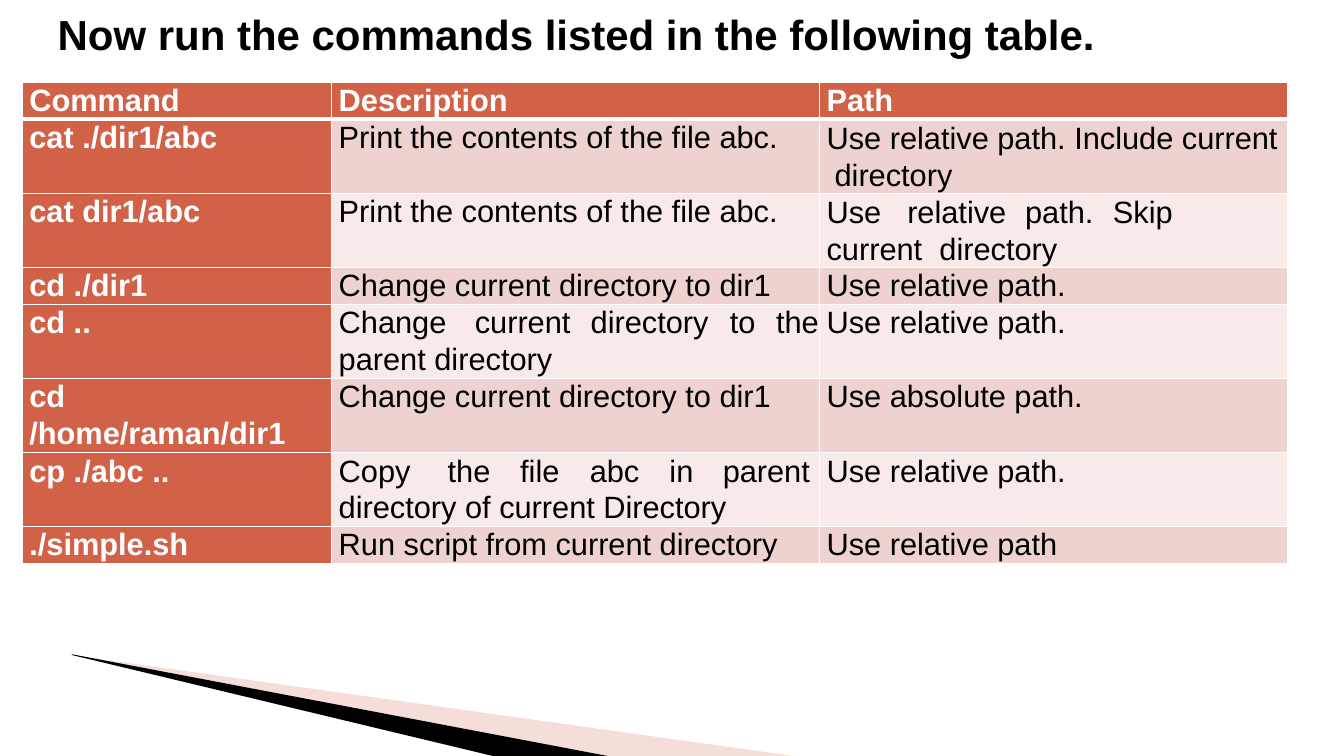
from lxml.etree import SubElement
from pptx import Presentation
from pptx.dml.color import RGBColor
from pptx.enum.text import MSO_ANCHOR, MSO_AUTO_SIZE, PP_ALIGN
from pptx.oxml.ns import qn
from pptx.util import Pt

BLACK = RGBColor(0x00, 0x00, 0x00)
WHITE = RGBColor(0xFF, 0xFF, 0xFF)
RUST = RGBColor(0xD1, 0x62, 0x48)
SALMON = RGBColor(0xE7, 0xAC, 0xA3)
DARK_BAND = RGBColor(0xED, 0xD2, 0xCF)
LIGHT_BAND = RGBColor(0xF7, 0xEA, 0xE9)

COLUMN_WIDTHS = (221, 348.5, 334)
SHORT_ROW, TALL_ROW = 26.4, 52.9
COMMANDS = [
    ("Command", "Description", "Path"),
    ("cat ./dir1/abc", "Print the contents of the file abc.",
     "Use relative path. Include current directory"),
    ("cat dir1/abc", "Print the contents of the file abc.",
     "Use\trelative\tpath.\tSkip\vcurrent\tdirectory"),
    ("cd ./dir1", "Change current directory to dir1", "Use relative path."),
    ("cd ..", "Change\tcurrent\tdirectory\tto\tthe\nparent directory",
     "Use relative path."),
    ("cd\n/home/raman/dir1", "Change current directory to dir1",
     "Use absolute path."),
    ("cp ./abc ..",
     "Copy\tthe\tfile\tabc\tin\tparent directory of current Directory",
     "Use relative path."),
    ("./simple.sh", "Run script from current directory", "Use relative path"),
]
SHORT_ROWS = (0, 3, 7)
# Tab stops and hanging indents, keyed by (row, column)
TAB_STOPS = {
    (2, 2): (57.6, 80.6, 141.8, 204.5),
    (4, 1): (97.2, 180, 279.4, 312.4),
    (6, 1): (77.8, 129.6, 179.3, 236.2, 274.3),
}
HANGING_INDENTS = {(1, 2): 5.7}
WIDE_LINES = {(1, 2), (2, 2)}


class SlideBuilder:
    font_name = "Arial"

    def __init__(self, slide):
        self.slide = slide

    def format_runs(self, paragraph, size, color, bold):
        for run in paragraph.runs:
            run.font.name = self.font_name
            run.font.size = Pt(size)
            run.font.bold = bold
            run.font.color.rgb = color

    def polygon(self, points, color, opacity=100):
        corners = [(Pt(x), Pt(y)) for x, y in points]
        builder = self.slide.shapes.build_freeform(*corners[0])
        builder.add_line_segments(corners[1:], close=True)
        shape = builder.convert_to_shape()
        shape.shadow.inherit = False
        shape.fill.solid()
        shape.fill.fore_color.rgb = color
        shape.line.fill.background()
        if opacity < 100:
            fill_color = shape._element.spPr.find(qn("a:solidFill"))[0]
            SubElement(fill_color, qn("a:alpha"), val=str(opacity * 1000))

    def title(self, text, left, top, width, height):
        shape = self.slide.shapes.title
        shape.left, shape.top = Pt(left), Pt(top)
        shape.width, shape.height = Pt(width), Pt(height)
        frame = shape.text_frame
        frame.text = text
        frame.word_wrap = True
        frame.auto_size = MSO_AUTO_SIZE.NONE
        frame.vertical_anchor = MSO_ANCHOR.TOP
        frame.margin_left = frame.margin_right = frame.margin_bottom = 0
        frame.margin_top = Pt(1)
        frame.paragraphs[0].alignment = PP_ALIGN.LEFT
        self.format_runs(frame.paragraphs[0], 30, BLACK, True)

    def border(self, cell, side, width):
        line = SubElement(cell._tc.get_or_add_tcPr(), qn(f"a:ln{side}"),
                          w=str(Pt(width)))
        fill = SubElement(line, qn("a:solidFill"))
        SubElement(fill, qn("a:srgbClr"), val=str(WHITE))

    def cell(self, cell, text, row, column):
        # Borders and fill
        for side in "LRTB":
            heavy = (row, side) in ((0, "B"), (1, "T"))
            self.border(cell, side, 3 if heavy else 1)
        heading = row == 0 or column == 0
        cell.fill.solid()
        cell.fill.fore_color.rgb = (
            RUST if heading else DARK_BAND if row % 2 else LIGHT_BAND)

        # Text
        cell.margin_left = Pt(5)
        cell.margin_right = cell.margin_top = cell.margin_bottom = 0
        cell.vertical_anchor = MSO_ANCHOR.TOP
        cell.text_frame.text = text
        spacing = 25.4 if row in SHORT_ROWS else 25.9
        if (row, column) in WIDE_LINES:
            spacing = 26.4
        for paragraph in cell.text_frame.paragraphs:
            properties = paragraph._p.get_or_add_pPr()
            if (row, column) in HANGING_INDENTS:
                hanging = HANGING_INDENTS[row, column]
                properties.set("marL", str(Pt(hanging)))
                properties.set("indent", str(Pt(-hanging)))
            # An explicit zero indent would reset the tab stops
            if (row, column) in TAB_STOPS and "\t" in paragraph.text:
                tabs = SubElement(properties, qn("a:tabLst"))
                for stop in TAB_STOPS[row, column]:
                    SubElement(tabs, qn("a:tab"), pos=str(Pt(stop)), algn="l")
            paragraph.alignment = PP_ALIGN.LEFT
            paragraph.line_spacing = Pt(spacing)
            self.format_runs(paragraph, 22, WHITE if heading else BLACK, heading)

    def table(self, rows, left, top):
        heights = [SHORT_ROW if index in SHORT_ROWS else TALL_ROW
                   for index in range(len(rows))]
        table = self.slide.shapes.add_table(
            len(rows), len(COLUMN_WIDTHS), Pt(left), Pt(top),
            Pt(sum(COLUMN_WIDTHS)), Pt(sum(heights))).table
        table.horz_banding = False
        for column, width in zip(table.columns, COLUMN_WIDTHS):
            column.width = Pt(width)
        for row, (texts, height) in enumerate(zip(rows, heights)):
            table.rows[row].height = Pt(height)
            for column, text in enumerate(texts):
                self.cell(table.cell(row, column), text, row, column)


def main():
    presentation = Presentation()
    presentation.slide_width, presentation.slide_height = Pt(960), Pt(540)
    layout = presentation.slide_layouts.get_by_name("Title Only")
    builder = SlideBuilder(presentation.slides.add_slide(layout))

    # Corner wedges
    builder.polygon([(52.6, 468), (52.6, 468.7), (61.2, 469.4), (434.2, 540),
                     (566.6, 540), (61.2, 469.4)], SALMON, opacity=40)
    builder.polygon([(51.1, 467.3), (51.8, 468), (352.1, 540), (434.2, 540)],
                    BLACK)

    # Title and command table
    builder.title("Now run the commands listed in the following table.",
                  41.2, 5, 744.5, 38.2)
    builder.table(COMMANDS, 16, 58.7)
    presentation.save("out.pptx")


if __name__ == "__main__":
    main()
